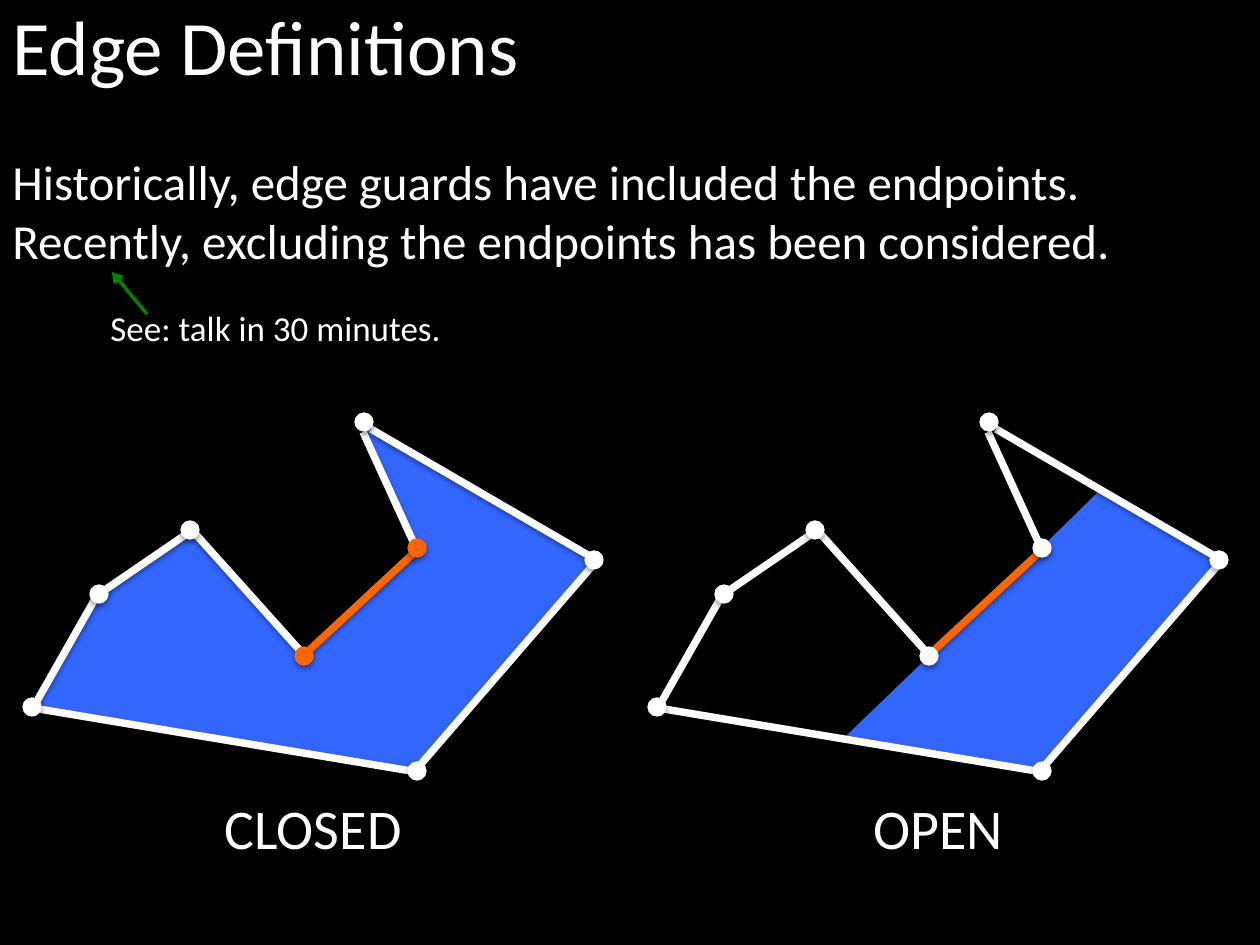
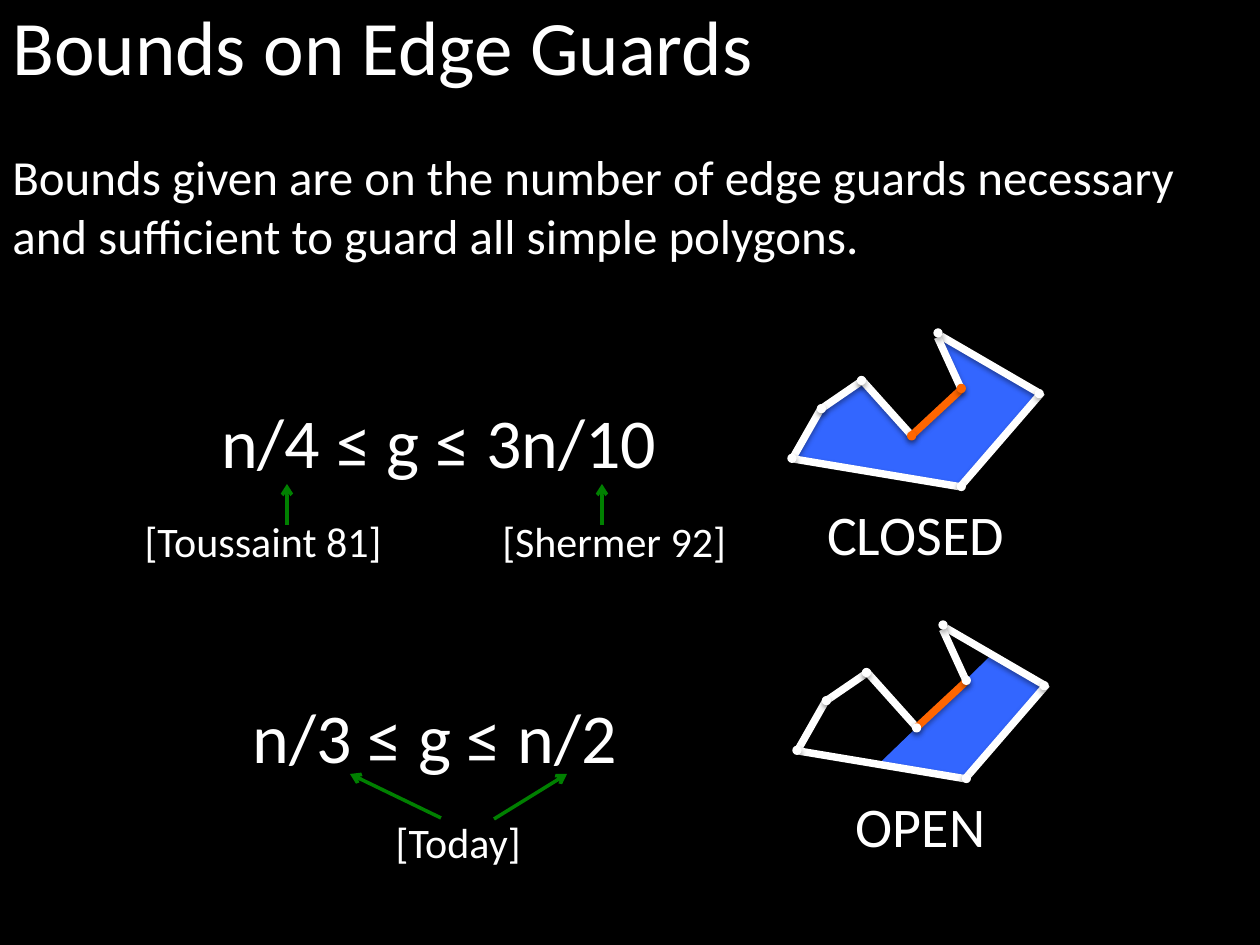
from lxml.etree import SubElement
from pptx import Presentation
from pptx.dml.color import RGBColor
from pptx.enum.shapes import MSO_CONNECTOR, MSO_SHAPE
from pptx.enum.text import PP_ALIGN
from pptx.oxml.ns import qn
from pptx.util import Emu, Pt

PX_PER_INCH = 126
BLACK = RGBColor(0x00, 0x00, 0x00)
WHITE = RGBColor(0xFF, 0xFF, 0xFF)
BLUE = RGBColor(0x33, 0x66, 0xFF)
ORANGE = RGBColor(0xFF, 0x66, 0x00)
GREEN = RGBColor(0x00, 0x80, 0x00)

TITLE_BOX = (0, -8, 1173, 106)
LABEL_TOP, LABEL_HEIGHT = 374, 81
FIGURE_WIDTH, DOT = 581, 18
FONT = {"name": "Calibri"}
TITLE, BODY, LABEL, BOUND, CITE, NOTE = (
    {**FONT, "size": Pt(size)} for size in (44, 28, 32, 40, 24, 20))
SHAPE_SHADOW = {"dist": 23000, "alpha": 35000}
LINE_SHADOW = {"dist": 20000, "alpha": 38000}

WALLS = [
    ((348, 16), (570, 145)),
    ((76, 179), (10, 295)),
    ((76, 181), (168, 118)),
    ((168, 116), (281, 242)),
    ((10, 295), (394, 359)),
    ((392, 358), (577, 144)),
    ((394, 137), (340, 19)),
]
GUARD = ((281, 242), (394, 137))
CORNERS = [(9, 294), (76, 181), (167, 117), (341, 9), (571, 147), (394, 358)]
GUARD_ENDS = [(281, 243), (394, 135)]
CLOSED = {
    "label": "CLOSED",
    "seen": [(280, 242), (168, 118), (76, 183), (13, 294), (391, 359),
             (572, 147), (341, 13), (396, 137)],
    "ends": ORANGE,
    "outline": None,
}
OPEN = {
    "label": "OPEN",
    "seen": [(393, 136), (199, 323), (393, 355), (571, 146), (452, 78)],
    "ends": WHITE,
    "outline": BLUE,
}

SLIDES = [
    {
        "title": "Edge Definitions",
        "body_top": 145,
        "body": ["Historically, edge guards have included the endpoints.",
                 "Recently, excluding the endpoints has been considered."],
        "figures": [(OPEN, 648, 413, 1), (CLOSED, 23, 413, 1)],
        "texts": [("See: talk in 30 minutes.", (98, 300, 370, 55), NOTE, PP_ALIGN.LEFT, 13)],
        "arrows": [((147, 314), (112, 272))],
    },
    {
        "title": "Bounds on Edge Guards",
        "body_top": 140,
        "body": ["Bounds given are on the number of edge guards necessary",
                 "and sufficient to guard all simple polygons."],
        "figures": [(CLOSED, 788, 329, 0.44), (OPEN, 793, 621, 0.44)],
        "texts": [
            ("n/4 ≤ g ≤ 3n/10", (200, 392, 524, 183), BOUND, PP_ALIGN.CENTER, 59),
            ("[Toussaint 81]", (101, 509, 325, 63), CITE, PP_ALIGN.CENTER, 13),
            ("[Shermer 92]", (452, 509, 325, 63), CITE, PP_ALIGN.CENTER, 13),
            ("n/3 ≤ g ≤ n/2", (200, 687, 524, 183), BOUND, PP_ALIGN.CENTER, 67),
            ("[Today]", (296, 810, 325, 63), CITE, PP_ALIGN.CENTER, 13),
        ],
        "arrows": [((287, 525), (287, 484)), ((602, 525), (602, 484)),
                   ((494, 819), (567, 774)), ((441, 818), (350, 774))],
    },
]


def px(*values):
    return [Emu(round(v * 914400 / PX_PER_INCH)) for v in values]


def add_shadow(sp, dist, alpha):
    effects = SubElement(sp._element.spPr, qn("a:effectLst"))
    shadow = SubElement(effects, qn("a:outerShdw"), blurRad="40000", dist=str(dist),
                        dir="5400000", rotWithShape="0")
    color = SubElement(shadow, qn("a:srgbClr"), val=str(BLACK))
    SubElement(color, qn("a:alpha"), val=str(alpha))


def add_text(shapes, lines, box, style, align=PP_ALIGN.LEFT, margin_right=13):
    tf = shapes.add_textbox(*px(*box)).text_frame
    tf.word_wrap = True
    tf.margin_right = px(margin_right)[0]
    for i, line in enumerate(lines):
        p = tf.paragraphs[0] if i == 0 else tf.add_paragraph()
        p.alignment = align
        r = p.add_run()
        r.text = line
        for name, value in style.items():
            setattr(r.font, name, value)
        r.font.color.rgb = WHITE


def add_line(shapes, start, end, color, width, arrow=False):
    line = shapes.add_connector(MSO_CONNECTOR.STRAIGHT, *px(*start, *end))
    line.line.color.rgb = color
    line.line.width = Pt(width)
    if arrow:
        SubElement(line.line._get_or_add_ln(), qn("a:tailEnd"), type="arrow")
    add_shadow(line, **LINE_SHADOW)


def paint(sp, fill, outline):
    sp.fill.solid()
    sp.fill.fore_color.rgb = fill
    if outline is None:
        sp.line.fill.background()
    else:
        sp.line.color.rgb = outline
        sp.line.width = Pt(0.75)
    add_shadow(sp, **SHAPE_SHADOW)


def add_figure(slide, kind, left, top, scale):
    shapes = slide.shapes.add_group_shape().shapes

    def place(point):
        return left + point[0] * scale, top + point[1] * scale

    first, *rest = [px(*place(point)) for point in kind["seen"]]
    outline = shapes.build_freeform(*first, scale=1.0)
    outline.add_line_segments(rest, close=True)
    paint(outline.convert_to_shape(), BLUE, kind["outline"])

    for (start, end), color in [(wall, WHITE) for wall in WALLS] + [(GUARD, ORANGE)]:
        add_line(shapes, place(start), place(end), color, 4.25)

    size = DOT * scale
    for points, color in ((CORNERS, WHITE), (GUARD_ENDS, kind["ends"])):
        for x, y in map(place, points):
            dot = shapes.add_shape(MSO_SHAPE.OVAL, *px(x - size / 2, y - size / 2, size, size))
            paint(dot, color, color)

    box = (left, top + LABEL_TOP * scale, FIGURE_WIDTH * scale, LABEL_HEIGHT)
    add_text(shapes, [kind["label"]], box, LABEL, PP_ALIGN.CENTER)


def add_slide(prs, content):
    s = prs.slides.add_slide(prs.slide_layouts[6])
    s.background.fill.solid()
    s.background.fill.fore_color.rgb = BLACK
    add_text(s.shapes, [content["title"]], TITLE_BOX, TITLE)
    add_text(s.shapes, content["body"], (0, content["body_top"], 1260, 131), BODY)
    for figure in content["figures"]:
        add_figure(s, *figure)
    for text, *layout in content["texts"]:
        add_text(s.shapes, [text], *layout)
    for start, end in content["arrows"]:
        add_line(s.shapes, start, end, GREEN, 2, arrow=True)


def main():
    prs = Presentation()
    prs.slide_width, prs.slide_height = px(1260, 945)
    for content in SLIDES:
        add_slide(prs, content)
    prs.save("out.pptx")


if __name__ == "__main__":
    main()
